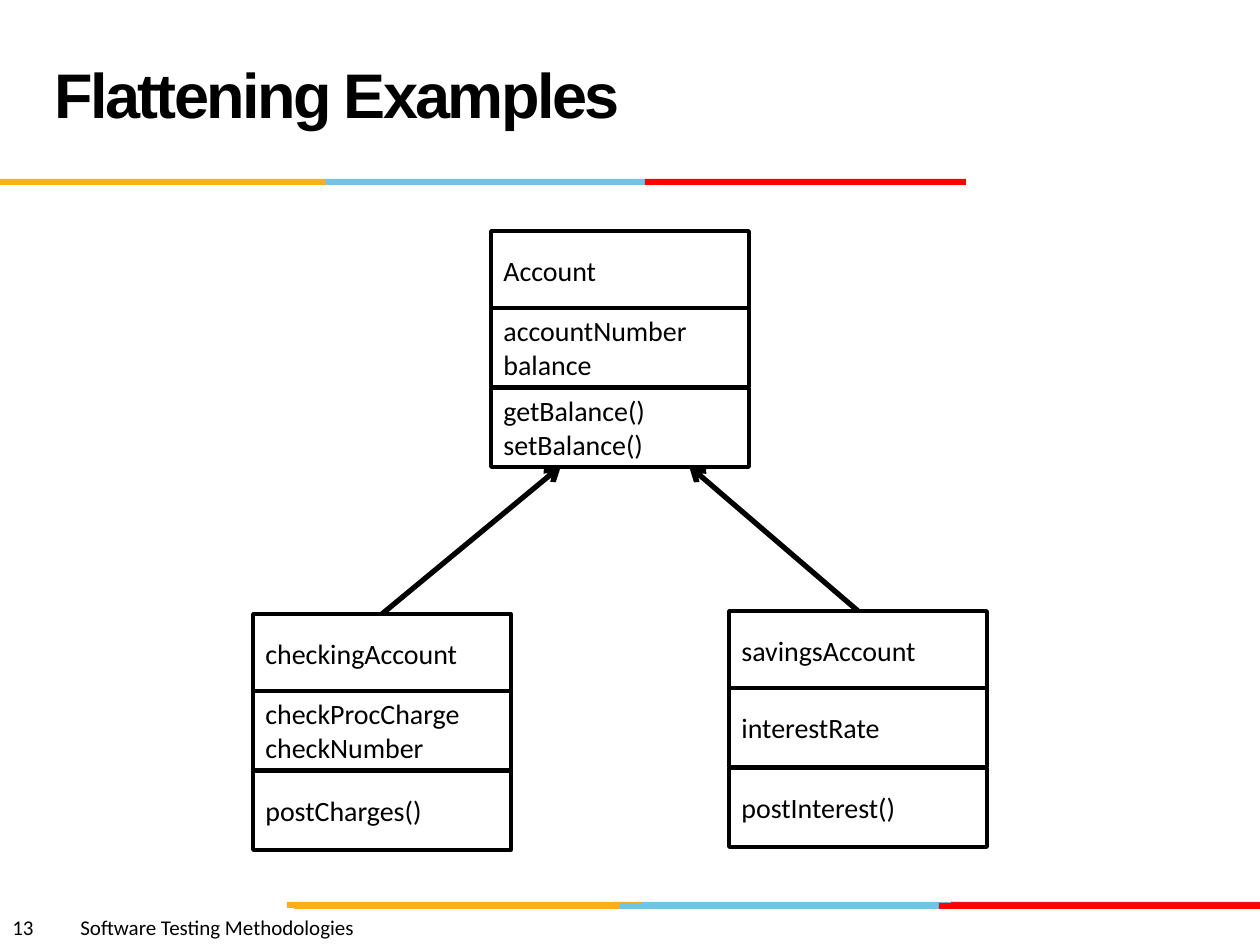
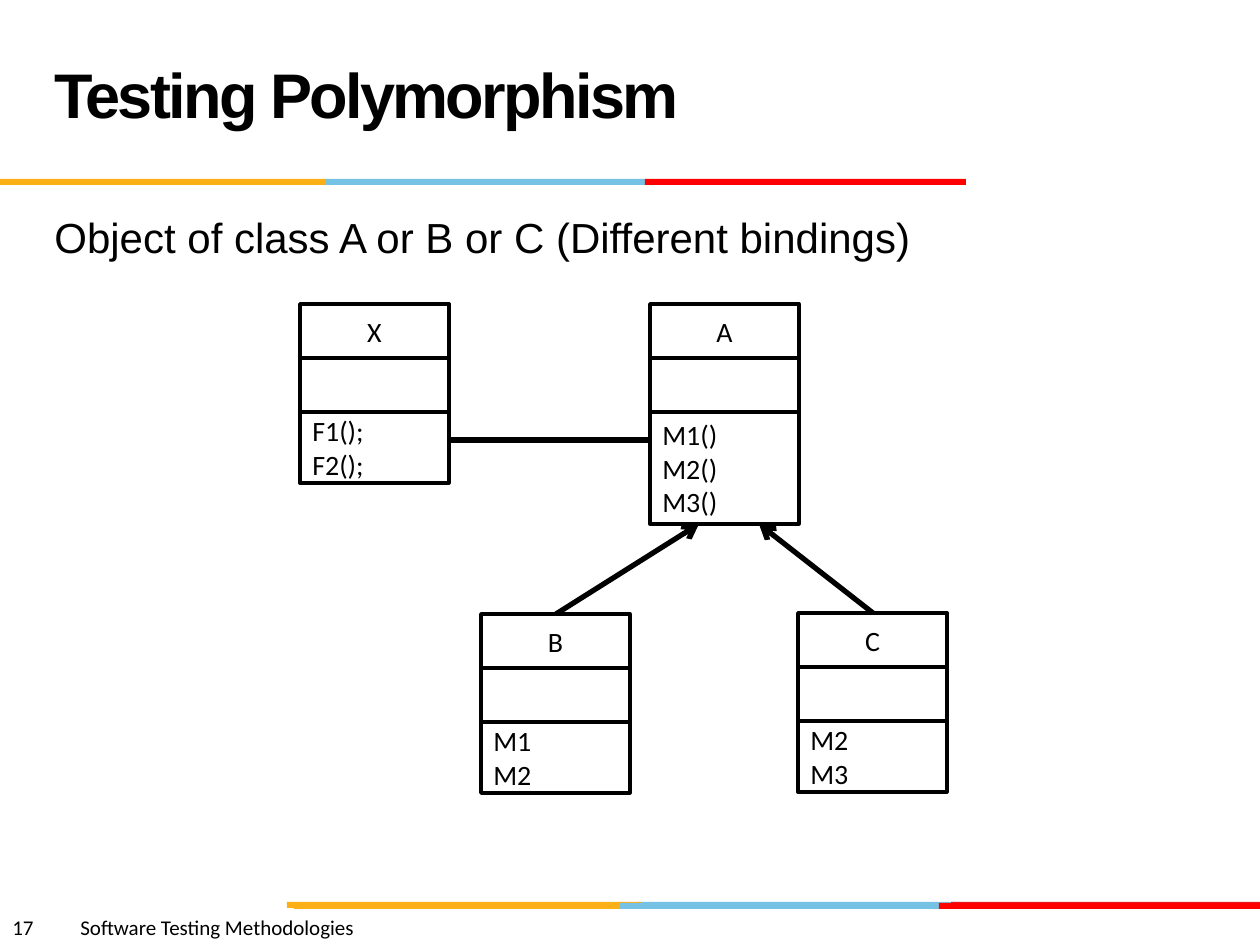
from lxml import etree
from pptx import Presentation
from pptx.dml.color import RGBColor
from pptx.enum.shapes import MSO_CONNECTOR, MSO_SHAPE
from pptx.enum.text import MSO_ANCHOR, PP_ALIGN
from pptx.oxml.ns import qn
from pptx.util import Pt

RECTANGLE = MSO_SHAPE.RECTANGLE
STRAIGHT = MSO_CONNECTOR.STRAIGHT
LEFT, CENTER = PP_ALIGN.LEFT, PP_ALIGN.CENTER
TOP, MIDDLE = MSO_ANCHOR.TOP, MSO_ANCHOR.MIDDLE

PIXEL = 914400 / 126
COLORS = {
    name: RGBColor.from_string(value)
    for name, value in {
        "black": "000000",
        "white": "FFFFFF",
        "orange": "FCB017",
        "blue": "76C2E5",
        "crimson": "E31C24",
        "red": "FF0000",
    }.items()
}

# Stripes of the title rule and the footer rule: left, top, width, colour
STRIPES = [
    (638, 902, 321, "blue"), (951, 902, 309, "crimson"), (287, 902, 355, "orange"),
    (620, 903, 321, "blue"), (294, 903, 326, "orange"), (939, 903, 321, "red"),
    (325, 179, 321, "blue"), (0, 179, 326, "orange"), (645, 179, 321, "red"),
]
FOOTER = "Software Testing Methodologies"
FOOTER_TAB = 68

# Class diagrams: each class has a left, a top and three lists of lines;
# a row is an offset from the top and a height (None: by number of lines)
SLIDES = [
    {
        "number": 13,
        "title": "Flattening Examples",
        "body": None,
        "width": 258,
        "rows": [(0, 79), (77, 79), (157, 79)],
        "name_align": LEFT,
        "classes": [
            (491, 231, ["Account"], ["accountNumber", "balance"],
             ["getBalance()", "setBalance()"]),
            (253, 614, ["checkingAccount"], ["checkProcCharge", "checkNumber"],
             ["postCharges()"]),
            (729, 611, ["savingsAccount"], ["interestRate"], ["postInterest()"]),
        ],
        "arrows": [(382, 614, 561, 466), (858, 611, 689, 466)],
        "links": [],
    },
    {
        "number": 17,
        "title": "Testing Polymorphism",
        "body": "Object of class A or B or C (Different bindings)",
        "width": 149,
        "rows": [(0, 55), (54, 55), (108, None)],
        "name_align": CENTER,
        "classes": [
            (300, 304, ["X"], [], ["F1();", "F2();"]),
            (650, 304, ["A"], [], ["M1()", "M2()", "M3()"]),
            (481, 614, ["B"], [], ["M1", "M2"]),
            (798, 613, ["C"], [], ["M2", "M3"]),
        ],
        "arrows": [(556, 614, 699, 524), (873, 613, 759, 524)],
        "links": [(449, 440, 650, 440)],
    },
]
METHOD_HEIGHTS = {2: 71, 3: 112}


def emu(*lengths):
    return [round(length * PIXEL) for length in lengths]


def write(shape, lines, font, size, align=LEFT, anchor=TOP):
    frame = shape.text_frame
    frame.word_wrap = True
    frame.vertical_anchor = anchor
    frame.text = "\n".join(lines)
    for para in frame.paragraphs:
        para.alignment = align
        para.font.name = font
        para.font.size = Pt(size)
        para.font.color.rgb = COLORS["black"]
    return frame.paragraphs[0]


deck = Presentation()
deck.slide_width, deck.slide_height = emu(1260, 945)

for content in SLIDES:
    page = deck.slides.add_slide(deck.slide_layouts[6])
    shapes = page.shapes

    # Coloured rules
    for left, top, width, color in STRIPES:
        stripe = shapes.add_shape(RECTANGLE, *emu(left, top, width, 6))
        stripe.shadow.inherit = False
        stripe.fill.solid()
        stripe.fill.fore_color.rgb = COLORS[color]
        stripe.line.fill.background()

    # Footer, with a tab stop between page number and course name
    footer = shapes.add_textbox(*emu(0, 908, 630, 38))
    para = write(footer, [f"{content['number']}\t{FOOTER}"], "Calibri", 12)
    tabs = etree.Element(qn("a:tabLst"))
    etree.SubElement(tabs, qn("a:tab"), pos=str(emu(FOOTER_TAB)[0]), algn="l")
    para.font  # the tab list goes before the default run properties
    para._p.pPr.insert(0, tabs)

    # Title
    title = shapes.add_textbox(*emu(42, 21, 872, 158))
    para = write(title, [content["title"]], "Arial", 36, anchor=MIDDLE)
    para.font.bold = True
    para.line_spacing = Pt(36)
    para.runs[0].font._element.set("spc", "-150")

    # Body line
    if content["body"]:
        body = shapes.add_textbox(*emu(42, 205, 1134, 624))
        para = write(body, [content["body"]], "Arial", 24)
        para.space_before = Pt(4.8)

    # Class boxes: name, attributes, methods
    for left, top, *sections in content["classes"]:
        aligns = [content["name_align"], LEFT, LEFT]
        for (offset, height), lines, align in zip(content["rows"], sections, aligns):
            height = height or METHOD_HEIGHTS[len(lines)]
            box = shapes.add_shape(
                RECTANGLE, *emu(left, top + offset, content["width"], height))
            box.shadow.inherit = False
            box.fill.solid()
            box.fill.fore_color.rgb = COLORS["white"]
            box.line.color.rgb = COLORS["black"]
            box.line.width = Pt(2)
            if lines:
                write(box, lines, "Calibri", 16, align, MIDDLE)

    # Inheritance arrows and plain links
    for ends in content["arrows"] + content["links"]:
        line = shapes.add_connector(STRAIGHT, *emu(*ends))
        line.line.color.rgb = COLORS["black"]
        line.line.width = Pt(3)
        if ends in content["arrows"]:
            outline = line.line._get_or_add_ln()
            etree.SubElement(outline, qn("a:tailEnd"), type="arrow")
        etree.SubElement(line._element.spPr, qn("a:effectLst"))

deck.save("out.pptx")
